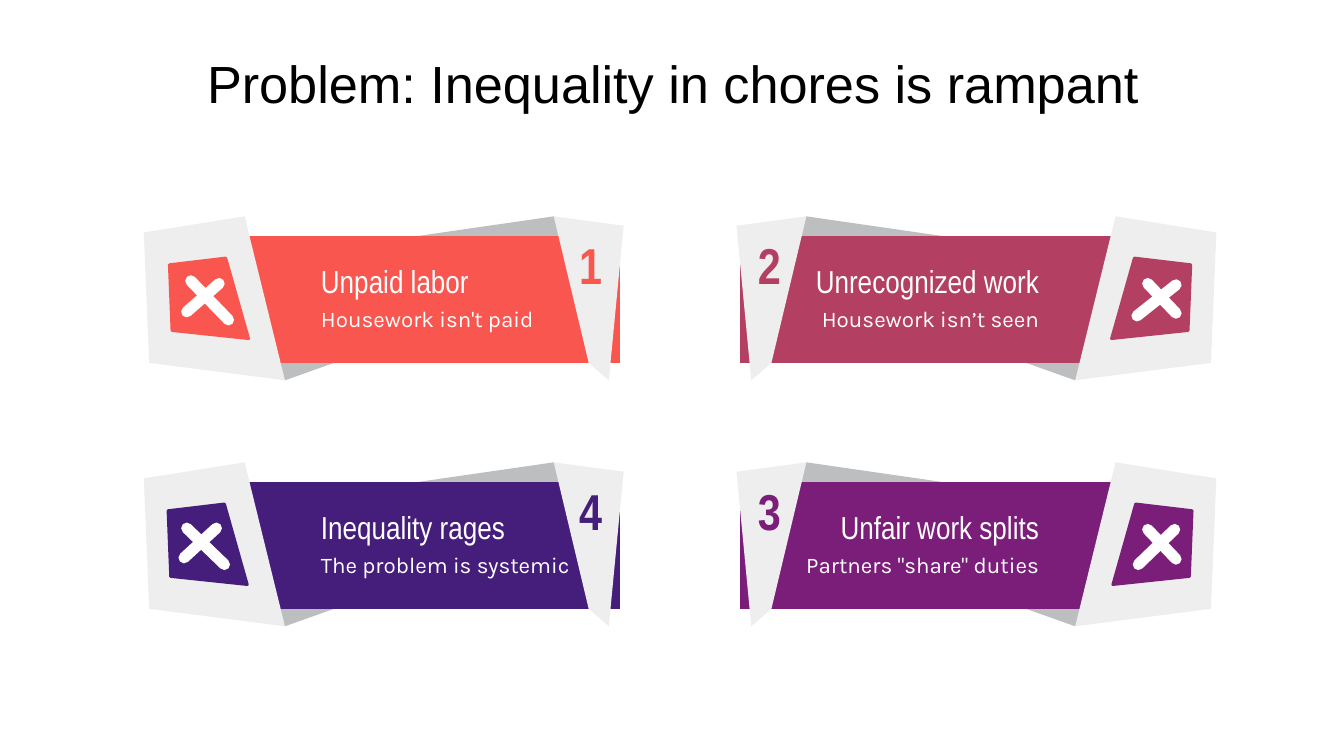
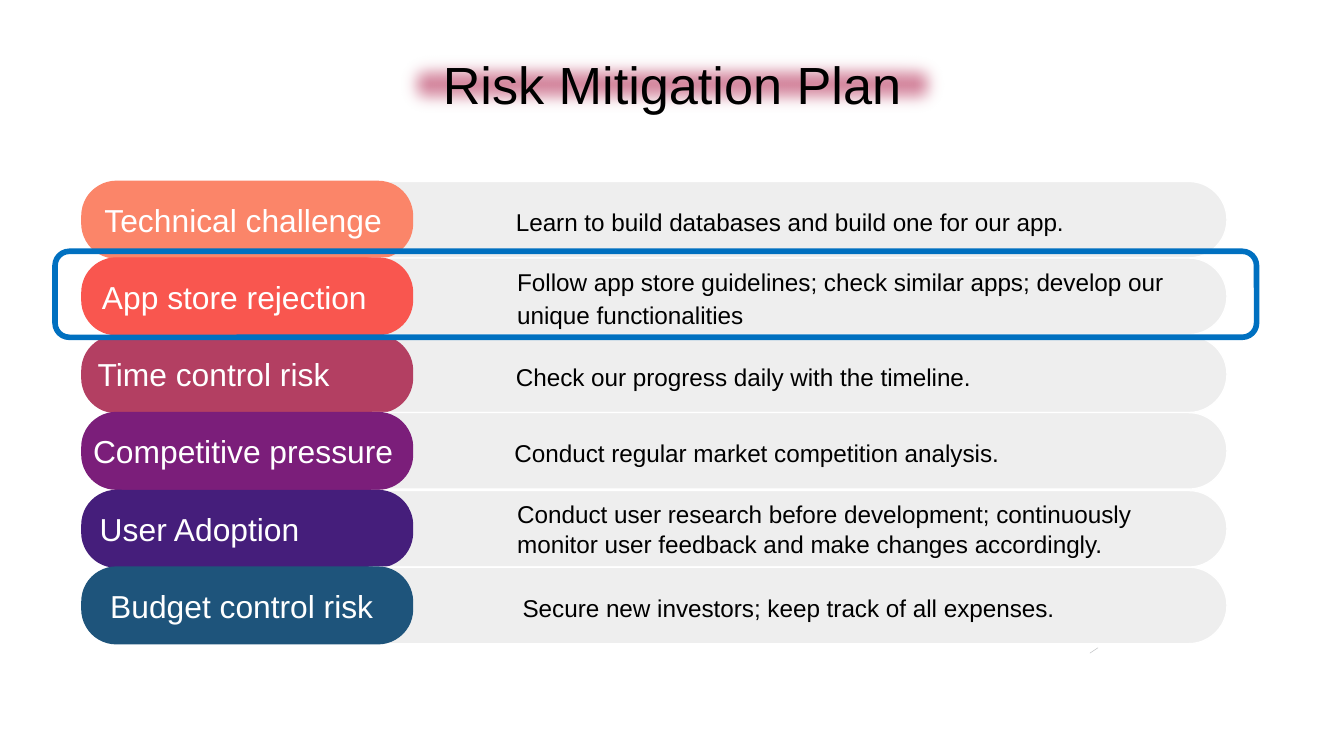
from dataclasses import dataclass
from typing import Any, NamedTuple

import pptx
import pptx.dml.color
import pptx.enum.shapes
import pptx.enum.text
import pptx.oxml
import pptx.oxml.ns
import pptx.util

SHAPE = pptx.enum.shapes.MSO_SHAPE
ALIGN = pptx.enum.text.PP_ALIGN
ANCHOR = pptx.enum.text.MSO_ANCHOR
Point = tuple[int, int]

SCALE = 9144  # EMU in one px, 100 px to the inch
WIDE = 1000


@dataclass(frozen=True)
class Theme:
    black: str = "000000"
    white: str = "FFFFFF"
    pale: str = "EEEEEE"
    gray: str = "BCBEC0"
    peach: str = "FB8569"
    coral: str = "F9564F"
    rose: str = "B33F62"
    plum: str = "7B1E7A"
    indigo: str = "451E7B"
    navy: str = "1E547B"
    blue: str = "0070C0"
    blush: str = "D5889F"
    sans: str = "Arial"
    narrow: str = "Arial Narrow"
    karla: str = "Karla"
    title: int = 28
    digit: int = 27
    head: int = 17
    note: int = 13
    small: int = 12


THEME = Theme()


class Box(NamedTuple):
    left: int
    top: int
    width: int
    height: int


class Ribbon(NamedTuple):
    digit: str
    head: str
    body: str
    color: str
    column: int
    row: int
    cross: tuple[tuple[Point, Point], ...]


class Risk(NamedTuple):
    name: str
    plan: str
    color: str
    name_at: Point  # left, width
    plan_at: Point
    leading: float = 1.15


RIBBONS = [
    Ribbon("1", "Unpaid labor", "Housework isn't paid", THEME.coral, 0, 0,
           (((142, 209), (170, 238)), ((139, 232), (163, 211)))),
    Ribbon("4", "Inequality rages", "The problem is systemic", THEME.indigo, 0, 1,
           (((139, 393), (167, 420)), ((137, 415), (161, 393)))),
    Ribbon("2", "Unrecognized work", "Housework isn’t seen", THEME.rose, 1, 0,
           (((846, 235), (875, 212)), ((854, 211), (875, 233)))),
    Ribbon("3", "Unfair work splits", 'Partners "share" duties', THEME.plum, 1, 1,
           (((847, 420), (874, 394)), ((854, 394), (875, 416)))),
]

RISKS = [
    Risk("Technical challenge", "Learn to build databases and build one for our app.",
         THEME.peach, (65, 232), (374, 467)),
    Risk("App store rejection",
         "Follow app store guidelines; check similar apps; develop our unique functionalities",
         THEME.coral, (62, 225), (375, 513)),
    Risk("Time control risk", "Check our progress daily with the timeline.",
         THEME.rose, (50, 218), (374, 398)),
    Risk("Competitive pressure", "Conduct regular market competition analysis.",
         THEME.plum, (57, 248), (373, 426)),
    Risk("User Adoption",
         "Conduct user research before development; continuously monitor user feedback "
         "and make changes accordingly.",
         THEME.indigo, (29, 239), (375, 480), 1.0),
    Risk("Budget control risk", "Secure new investors; keep track of all expenses.",
         THEME.navy, (67, 226), (379, 451)),
]

# Ribbon outlines, for the top left place
FOLD = [(412, 161), (170, 196), (212, 283), (302, 251), (448, 191)]
BAND = [(111, 176), (111, 270), (461, 270), (461, 176)]
TAIL = [(412, 161), (438, 270), (453, 283), (464, 168)]
FLAP = [(182, 161), (107, 173), (111, 270), (212, 283)]
BADGE = [(168, 192), (126, 197), (128, 246), (185, 252)]
MIRROR = 1012  # sum of an x and its mirrored x
STEP = 183  # from one ribbon row to the next


def px(count: int) -> int:
    return pptx.util.Emu(count * SCALE)


def rgb(color: str) -> pptx.dml.color.RGBColor:
    return pptx.dml.color.RGBColor.from_string(color)


def paint(shape: Any, fill: str | None, line: str | None = None, weight: float = 0.75) -> None:
    shape.shadow.inherit = False
    if fill:
        shape.fill.solid()
        shape.fill.fore_color.rgb = rgb(fill)
    else:
        shape.fill.background()
    if line:
        shape.line.color.rgb = rgb(line)
        shape.line.width = pptx.util.Pt(weight)
    else:
        shape.line.fill.background()


def add_form(shapes: Any, kind: Any, box: Box, fill: str | None, line: str | None = None,
             weight: float = 0.75, bend: float | None = None) -> Any:
    shape = shapes.add_shape(kind, *map(px, box))
    if bend is not None:
        shape.adjustments[0] = bend
    paint(shape, fill, line, weight)
    return shape


def add_path(shapes: Any, points: list[Point], fill: str, line: str | None = None,
             weight: float = 0.75) -> None:
    maker = shapes.build_freeform(*points[0], scale=SCALE)
    maker.add_line_segments(points[1:], close=True)
    paint(maker.convert_to_shape(), fill, line, weight)


def add_line(shapes: Any, start: Point, end: Point, color: str, weight: float) -> None:
    line = shapes.add_connector(pptx.enum.shapes.MSO_CONNECTOR.STRAIGHT,
                                *map(px, start + end))
    line.line.color.rgb = rgb(color)
    line.line.width = pptx.util.Pt(weight)
    line.line._get_or_add_ln().set("cap", "rnd")
    props = line._element.spPr
    props.append(pptx.oxml.parse_xml(
        f"<a:effectLst {pptx.oxml.ns.nsdecls('a')}/>"))


def put_text(shape: Any, text: str, *, size: int, color: str = THEME.black,
             font: str = THEME.sans, bold: bool = False, align: Any = ALIGN.LEFT,
             anchor: Any = ANCHOR.MIDDLE, leading: float = 1.0) -> None:
    frame = shape.text_frame
    frame.word_wrap = True
    frame.vertical_anchor = anchor
    frame.margin_left = frame.margin_right = px(10)
    frame.margin_top = frame.margin_bottom = px(10)
    para = frame.paragraphs[0]
    para.alignment = align
    para.line_spacing = leading
    run = para.add_run()
    run.text = text
    run.font.name = font
    run.font.size = pptx.util.Pt(size)
    run.font.bold = bold
    run.font.color.rgb = rgb(color)


def add_text(shapes: Any, box: Box, text: str, **form: Any) -> None:
    put_text(shapes.add_textbox(*map(px, box)), text, **form)


def add_title(shapes: Any, box: Box, text: str, glow: str | None = None) -> None:
    shape = add_form(shapes, SHAPE.RECTANGLE, box, glow)
    if glow:
        effects = shape._element.spPr.find(pptx.oxml.ns.qn("a:effectLst"))
        effects.append(pptx.oxml.parse_xml(
            f"<a:softEdge {pptx.oxml.ns.nsdecls('a')} rad=\"{px(14)}\"/>"))
    put_text(shape, text, size=THEME.title, align=ALIGN.CENTER)


def add_ribbon(shapes: Any, item: Ribbon) -> None:
    drop = item.row * STEP

    def place(points: list[Point]) -> list[Point]:
        return [(MIRROR - x if item.column else x, y + drop) for x, y in points]

    def shift(box: Box) -> Box:
        left = MIRROR - box.left - box.width if item.column else box.left
        return box._replace(left=left, top=box.top + drop)

    group = shapes.add_group_shape().shapes
    for points, fill in ((FOLD, THEME.gray), (BAND, item.color),
                         (TAIL, THEME.pale), (FLAP, THEME.pale)):
        add_path(group, place(points), fill)
    add_text(group, shift(Box(418, 164, 43, 53)), item.digit, size=THEME.digit,
             font=THEME.narrow, color=item.color, bold=True,
             align=ALIGN.CENTER, anchor=ANCHOR.TOP)
    side = ALIGN.RIGHT if item.column else ALIGN.LEFT
    for top, text, size, font in ((218, item.body, THEME.small, THEME.karla),
                                  (190, item.head, THEME.head, THEME.narrow)):
        add_text(group, shift(Box(229, top, 210, 38)), text, size=size, font=font,
                 color=THEME.white, align=side)
    # The lower badges sit one px further out
    badge = [(x - item.row, y) for x, y in BADGE]
    add_path(group, place(badge), item.color, item.color, 1.5)
    for start, end in item.cross:
        add_line(group, start, end, THEME.white, 6)


def add_risk(shapes: Any, index: int, item: Risk) -> None:
    top = 135 + round(57.4 * index)
    group = shapes.add_group_shape().shapes
    add_form(group, SHAPE.ROUNDED_RECTANGLE, Box(250, top, 663, 57),
             THEME.pale, THEME.white, bend=0.5)
    add_form(group, SHAPE.ROUNDED_RECTANGLE, Box(61, top, 246, 57),
             item.color, item.color, bend=0.45)
    left, width = item.name_at
    add_text(group, Box(left, top + 3, width, 51), item.name, size=THEME.head,
             color=THEME.white, align=ALIGN.CENTER)
    left, width = item.plan_at
    add_text(group, Box(left, top - 2, width, 61), item.plan, size=THEME.note,
             leading=item.leading)


def add_slide(deck: Any) -> Any:
    slide = deck.slides.add_slide(deck.slide_layouts[6])
    slide.background.fill.solid()
    slide.background.fill.fore_color.rgb = rgb(THEME.white)
    return slide.shapes


def main() -> None:
    deck = pptx.Presentation()
    deck.slide_width = px(WIDE)
    deck.slide_height = px(WIDE) * 9 // 16

    # Problem: four folded ribbons
    shapes = add_slide(deck)
    add_title(shapes, Box(78, 35, 845, 53), "Problem: Inequality in chores is rampant")
    for item in RIBBONS:
        add_ribbon(shapes, item)

    # Risk plan: six rows, the second one framed
    shapes = add_slide(deck)
    add_line(shapes, (817, 482), (811, 486), THEME.gray, 0.25)
    for index, risk in enumerate(RISKS):
        add_risk(shapes, index, risk)
    add_title(shapes, Box(293, 36, 414, 53), "Risk Mitigation Plan", THEME.blush)
    add_form(shapes, SHAPE.ROUNDED_RECTANGLE, Box(41, 187, 894, 64), None, THEME.blue, 3)

    deck.save("out.pptx")


if __name__ == "__main__":
    main()
